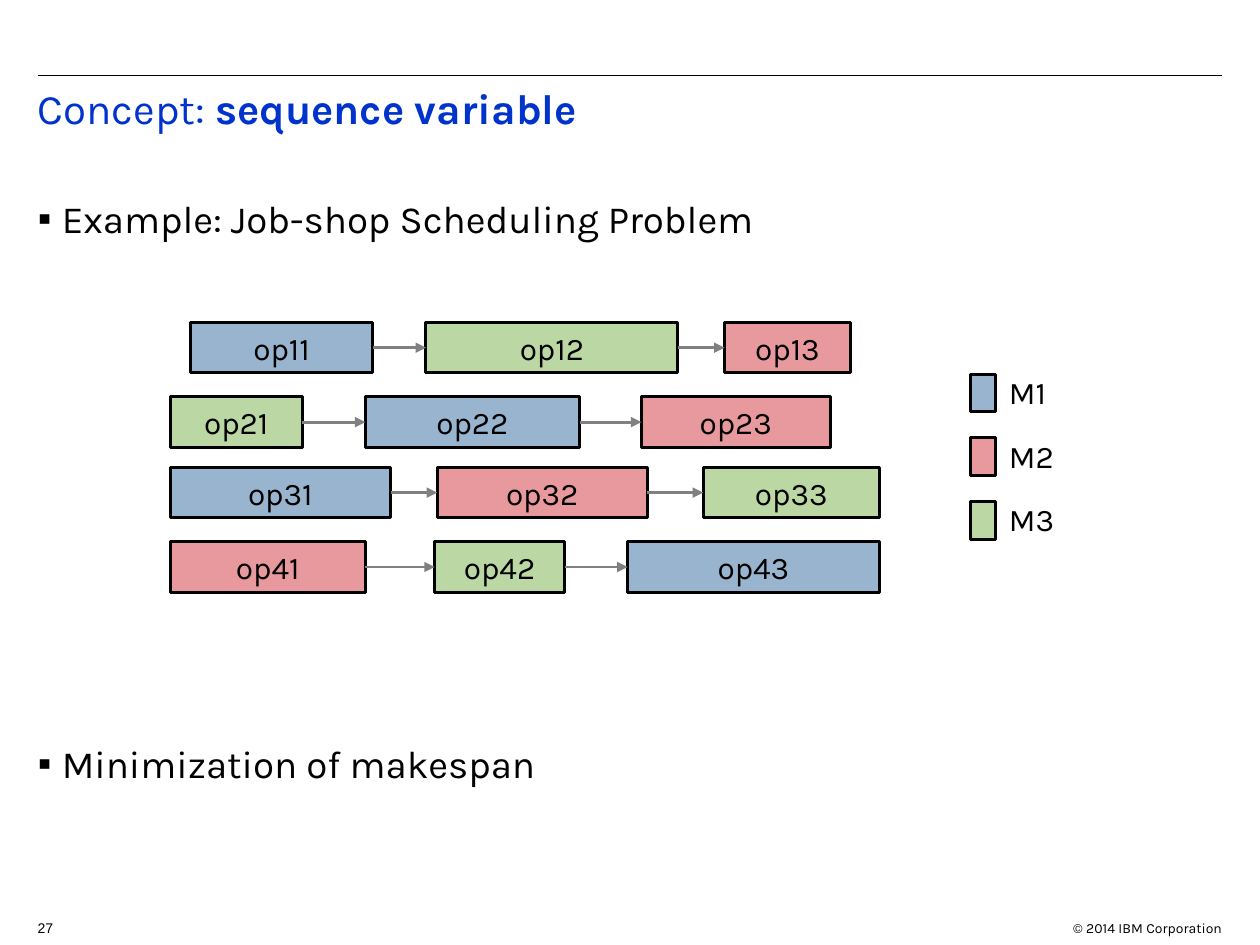
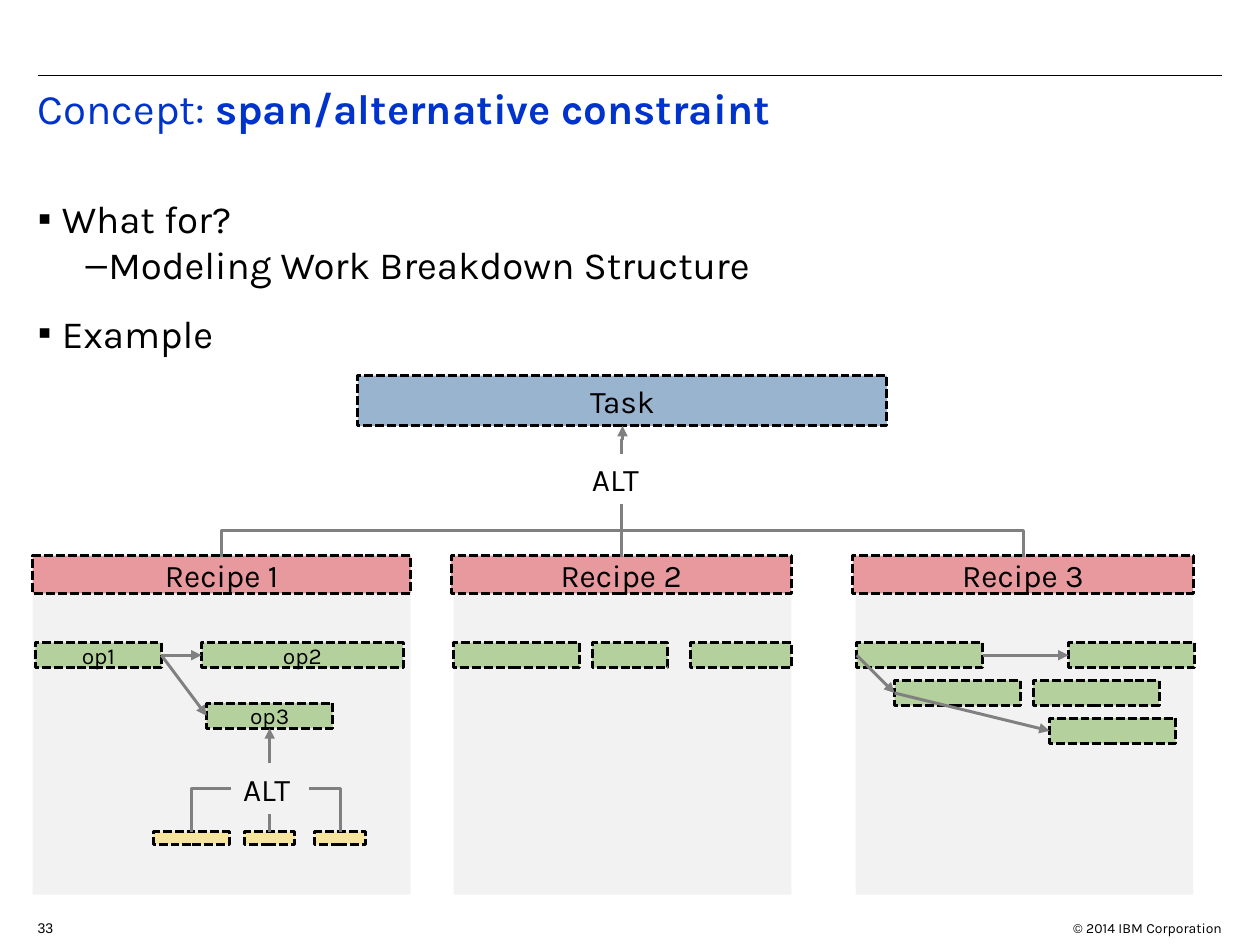
"""Build two slides on scheduling concepts: sequence variables and span/alternative constraints."""
import dataclasses

import lxml.etree
import pptx
import pptx.dml.color
import pptx.enum.dml
import pptx.enum.shapes
import pptx.enum.text
import pptx.oxml.ns
import pptx.util

Pt = pptx.util.Pt
qn = pptx.oxml.ns.qn
RGB = pptx.dml.color.RGBColor.from_string
ALIGN = pptx.enum.text.PP_ALIGN
ANCHOR = pptx.enum.text.MSO_ANCHOR
CONNECTOR = pptx.enum.shapes.MSO_CONNECTOR


@dataclasses.dataclass(frozen=True)
class Theme:
    font: str = "Karla"
    number_font: str = "Arial"
    ink: str = "000000"
    title: str = "0033CC"
    link: str = "808080"
    panel: str = "CCCCCC"
    blue: str = "004586"
    red: str = "C5000B"
    green: str = "579D1C"
    yellow: str = "FFD320"
    title_size: int = 24
    body_size: int = 22
    label_size: int = 18
    small_size: int = 13
    footer_size: int = 8
    stroke: float = 1.7


theme = Theme()


def box(slide, left, top, width, height, label="", fill=None, opacity=40, outlined=True,
        dashed=False, size=theme.label_size, align=ALIGN.CENTER, font=theme.font):
    """Draw a translucent labelled rectangle, or a plain label when there is no fill."""
    frame = [Pt(length) for length in (left, top, width, height)]
    if fill:
        shape = slide.shapes.add_shape(pptx.enum.shapes.MSO_SHAPE.RECTANGLE, *frame)
        shape.shadow.inherit = False
        shape.fill.solid()
        shape.fill.fore_color.rgb = RGB(fill)
        color = shape.element.spPr.find(f".//{qn('a:srgbClr')}")
        lxml.etree.SubElement(color, qn("a:alpha"), val=str(opacity * 1000))
        if outlined:
            shape.line.color.rgb = RGB(theme.ink)
            shape.line.width = Pt(theme.stroke)
            if dashed:
                shape.line.dash_style = pptx.enum.dml.MSO_LINE.SQUARE_DOT
        else:
            shape.line.fill.background()
    else:
        shape = slide.shapes.add_textbox(*frame)
    if label:
        shape.text_frame.text = label
        shape.text_frame.word_wrap = False
        shape.text_frame.vertical_anchor = ANCHOR.MIDDLE
        paragraph = shape.text_frame.paragraphs[0]
        paragraph.alignment = align
        run_font = paragraph.runs[0].font
        run_font.name, run_font.size = font, Pt(size)
        run_font.color.rgb = RGB(theme.ink)
    return shape


def link(slide, start, end, route="straight", arrow=True, color=theme.link, width=theme.stroke):
    """Join two points: straight, 'corner' (across, then down) or 'step' (down, across, down)."""
    (x1, y1), (x2, y2) = start, end
    if route == "step":
        x, y = (x1 + x2) / 2, (y1 + y2) / 2
        across, down = (x2 - x1) / 2, (y2 - y1) / 2
        x1, y1, x2, y2 = x - down, y + across, x + down, y - across
    kind = CONNECTOR.STRAIGHT if route == "straight" else CONNECTOR.ELBOW
    line = slide.shapes.add_connector(kind, Pt(x1), Pt(y1), Pt(x2), Pt(y2))
    line.line.color.rgb = RGB(color)
    line.line.width = Pt(width)
    properties = line.element.spPr
    if route == "step":
        properties.find(qn("a:xfrm")).set("rot", "5400000")
    if route == "corner":
        properties.find(qn("a:prstGeom")).set("prst", "bentConnector2")
    if arrow:
        lxml.etree.SubElement(properties.find(qn("a:ln")), qn("a:tailEnd"), type="triangle")
    lxml.etree.SubElement(properties, qn("a:effectLst"))
    return line


prs = pptx.Presentation()
prs.slide_width, prs.slide_height = Pt(720), Pt(540)
layout = prs.slide_layouts[1]
for placeholder in list(layout.placeholders)[2:]:
    layout.shapes.element.remove(placeholder.element)

# Each bullet: level, text, space before
pages = [
    ("27", "sequence variable", 383.76,
     [(0, "Example: Job-shop Scheduling Problem", 0), (0, "Minimization of makespan", 284.8)]),
    ("33", "span/alternative constraint", 410.4,
     [(0, "What for?", 0), (1, "Modeling Work Breakdown Structure", 0), (0, "Example", 12.5)]),
]
bullet_styles = [("▪", 13.7, -13.7), ("–", 40.3, -13)]

slides = [prs.slides.add_slide(layout) for page in pages]
job_shop, breakdown = slides

header_rule = link(job_shop, (21.6, 43.2), (698.4, 43.2), arrow=False, color=theme.ink, width=0.75)
copyright_line = box(job_shop, 597.6, 522, 108, 16.6, "© 2014 IBM Corporation",
                     size=theme.footer_size, align=ALIGN.RIGHT)
for shared in (header_rule, copyright_line):
    layout.shapes.element.append(shared.element)

for slide, (number, concept, body_height, bullets) in zip(slides, pages):
    title, body = slide.placeholders
    title.left, title.top, title.width, title.height = Pt(14.4), Pt(46.8), Pt(705.6), Pt(50.4)
    body.left, body.top, body.width, body.height = Pt(14.4), Pt(108), Pt(669.6), Pt(body_height)
    for holder in (title, body):
        holder.text_frame.auto_size = pptx.enum.text.MSO_AUTO_SIZE.NONE
        holder.text_frame.vertical_anchor = ANCHOR.TOP
        holder.text_frame.word_wrap = True

    heading = title.text_frame.paragraphs[0]
    heading.text = "Concept: "
    heading.add_run().text = concept
    heading.alignment = ALIGN.LEFT
    heading.line_spacing = 0.9
    for run, bold in zip(heading.runs, (False, True)):
        run.font.name, run.font.size, run.font.bold = theme.font, Pt(theme.title_size), bold
        run.font.color.rgb = RGB(theme.title)

    body.text_frame.text = "\n".join(text for level, text, gap in bullets)
    for paragraph, (level, text, gap) in zip(body.text_frame.paragraphs, bullets):
        mark, margin, indent = bullet_styles[level]
        paragraph.level = level
        paragraph.space_before = Pt(gap)
        settings = paragraph._p.get_or_add_pPr()
        settings.set("marL", str(Pt(margin)))
        settings.set("indent", str(Pt(indent)))
        mark_color = lxml.etree.SubElement(settings, qn("a:buClr"))
        lxml.etree.SubElement(mark_color, qn("a:srgbClr"), val=theme.ink)
        lxml.etree.SubElement(settings, qn("a:buFont"), typeface="Arial")
        lxml.etree.SubElement(settings, qn("a:buChar"), char=mark)
        font = paragraph.runs[0].font
        font.name, font.size = theme.font, Pt(theme.body_size)
        font.color.rgb = RGB(theme.ink)

    box(slide, 14.4, 522, 28.8, 16.6, number, size=theme.footer_size,
        align=ALIGN.LEFT, font=theme.number_font)

machines = {"M1": theme.blue, "M2": theme.red, "M3": theme.green}
jobs = [
    (184.3, [("M1", 108.7, 104.4), ("M3", 243.4, 144), ("M2", 414, 72)]),
    (226.8, [("M3", 97.2, 75.6), ("M1", 208.8, 122.4), ("M2", 366.5, 108)]),
    (267.1, [("M1", 97.2, 126), ("M2", 249.8, 120.2), ("M3", 401.8, 100.8)]),
    (309.6, [("M2", 97.2, 111.6), ("M3", 248.4, 74.2), ("M1", 358.6, 144)]),
]
for job, (top, operations) in enumerate(jobs, 1):
    for step, (machine, left, width) in enumerate(operations, 1):
        box(job_shop, left, top, width, 28.8, f"op{job}{step}", machines[machine])
    for (_, left, width), (_, next_left, _) in zip(operations, operations[1:]):
        link(job_shop, (left + width, top + 14.4), (next_left, top + 14.4))

for row, (machine, color) in enumerate(machines.items()):
    top = 213.8 + 36.4 * row
    box(job_shop, 554.4, top, 14.4, 21.6, fill=color)
    box(job_shop, 569.5, top - 4.2, 41, 28.8, machine, align=ALIGN.LEFT)

recipes = [(18.7, 18.7, 216), (257.8, 259.2, 194.4), (487.4, 488.9, 194.4)]
for left, panel_left, width in recipes:
    box(breakdown, panel_left, 338.4, left + width - panel_left, 172.8,
        fill=theme.panel, opacity=25, outlined=False)

box(breakdown, 204.5, 214.6, 302.4, 28.8, "Task", theme.blue, dashed=True)
box(breakdown, 331.2, 259.2, 47.5, 28.8, "ALT", align=ALIGN.LEFT)
link(breakdown, (355, 259.2), (355.7, 243.4), "step")
for number, (left, _, width) in enumerate(recipes, 1):
    box(breakdown, left, 317.5, width, 21.6, f"Recipe {number}", theme.red, dashed=True)
    route = "straight" if number == 2 else "step"
    link(breakdown, (355, 288), (left + width / 2, 318.2), route, arrow=False)

operations = [
    ("op1", 20.2, 367.2, 72), ("op2", 115.2, 367.2, 115.2), ("op3", 118.1, 401.8, 72),
    ("", 259.2, 367.2, 72), ("", 338.4, 367.2, 43.2), ("", 394.6, 367.2, 57.6),
    ("", 489.6, 367.2, 72), ("", 511.2, 388.8, 72), ("", 599.8, 410.4, 72),
    ("", 590.4, 388.8, 72), ("", 610.6, 367.2, 72),
]
for label, left, top, width in operations:
    box(breakdown, left, top, width, 14.4, label, theme.green, dashed=True, size=theme.small_size)

precedences = [
    ((92.2, 374.4), (115.2, 374.4)), ((561.6, 374.4), (610.6, 374.4)),
    ((92.2, 374.4), (118.1, 409)), ((489.6, 374.4), (511.2, 396)),
    ((511.2, 396), (599.8, 417.6)),
]
for start, end in precedences:
    link(breakdown, start, end)

for left, width in [(87.8, 43.2), (139.7, 28.8), (180, 28.8)]:
    box(breakdown, left, 475.2, width, 7.2, fill=theme.yellow, dashed=True)
box(breakdown, 131.8, 436.3, 45.4, 28.8, "ALT", align=ALIGN.LEFT)
link(breakdown, (154.1, 436.3), (154.1, 416.2))
link(breakdown, (154.1, 465.1), (154.1, 475.2), arrow=False)
link(breakdown, (131.8, 450.7), (109.4, 475.2), "corner", arrow=False)
link(breakdown, (176.4, 450.7), (194.4, 475.2), "corner", arrow=False)

prs.save("out.pptx")
